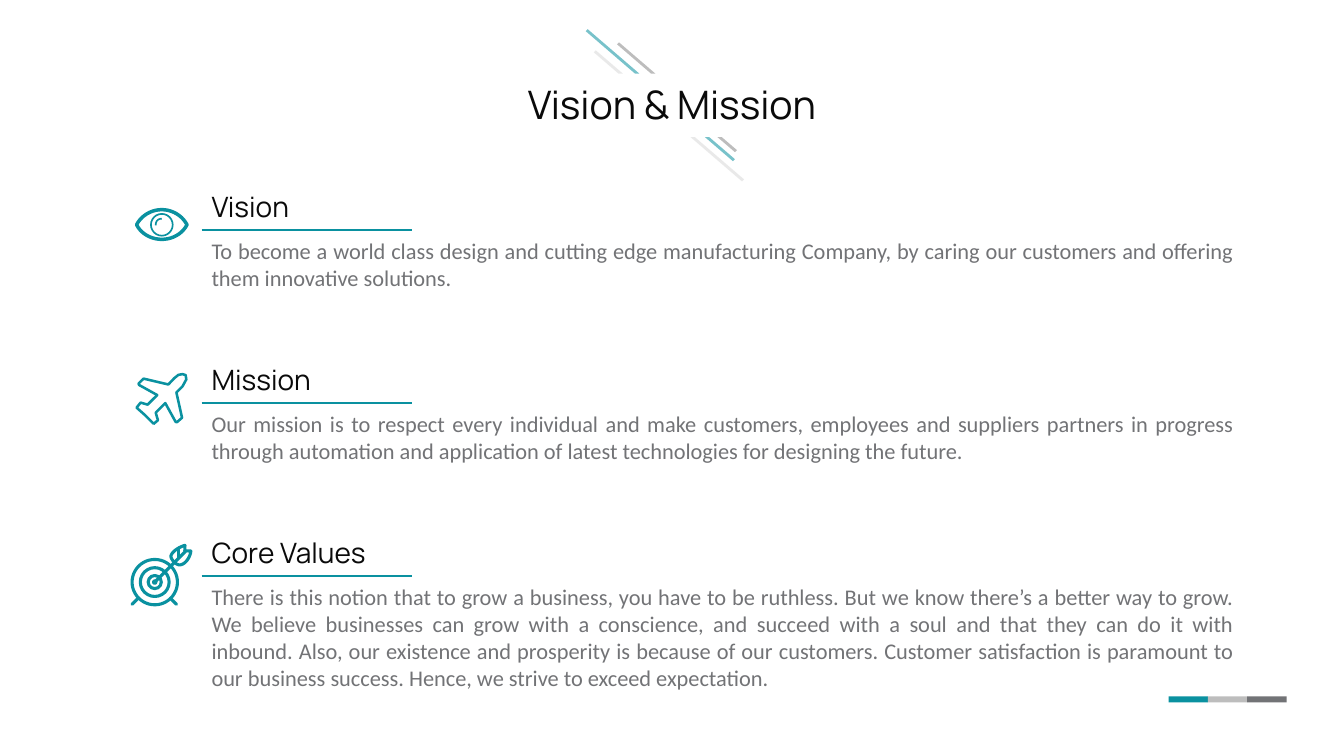
from lxml import etree
from pptx import Presentation, util as u
from pptx.dml.color import RGBColor
from pptx.enum import shapes, text
from pptx.oxml.ns import qn

TEAL = RGBColor(0x0A, 0x91, 0xA0)
INK = RGBColor(0x0A, 0x0A, 0x0A)
GREY = RGBColor(0x72, 0x73, 0x76)
SILVER = RGBColor(0xBD, 0xBD, 0xBD)
PALE = RGBColor(0xD8, 0xD8, 0xD8)
DARK = RGBColor(0x87, 0x87, 0x87)

TITLE = "Vision & Mission"
ROWS = [
    ("Vision", 2, "To become a world class design and cutting edge manufacturing Company, by caring our customers and offering them innovative solutions."),
    ("Mission", 2, "Our mission is to respect every individual and make customers, employees and suppliers partners in progress through automation and application of latest technologies for designing the future."),
    ("Core Values", 4, "There is this notion that to grow a business, you have to be ruthless. But we know there’s a better way to grow. We believe businesses can grow with a conscience, and succeed with a soul and that they can do it with inbound. Also, our existence and prosperity is because of our customers. Customer satisfaction is paramount to our business success. Hence, we strive to exceed expectation."),
]
LEFT, TOP, PITCH = 2, 1.83, 1.715
RULE, BODY = 0.45, 0.475
HEAD_W, BODY_W = 2.09, 10.34

EDGES = [
    (0.73, [(5.89, 0.52, PALE), (5.81, 0.31, TEAL), (6.12, 0.44, DARK)]),
    (1.36, [(7.36, 1.8, PALE), (7.27, 1.6, TEAL), (7.29, 1.51, DARK)]),
]
SLOPE = 0.86

EYE, PLANE, GOAL = (1.34, 2.06), (1.34, 3.7), (1.29, 5.39)
LID = [(1.5, 17), (6, 8), (16, 2), (26.5, 2), (37, 2), (47, 8), (51.5, 17),
       (47, 26), (37, 31.5), (26.5, 31.5), (16, 31.5), (6, 26), (1.5, 17)]
GLINT = [(20.5, 17.5), (20.5, 13), (23, 11), (26.5, 11)]
JET = [(18.5, 50.5), (10, 42), (1.5, 34.5), (5.5, 29.5), (12.5, 31.5), (22, 22),
       (4, 12), (3.5, 10.5), (8.5, 5.7), (33, 11.5), (39, 5.2), (43, 2),
       (47, 1.2), (50.2, 2.2), (50.8, 6.5), (47, 13.5), (41, 19.5),
       (46.6, 44.5), (41.5, 49), (40.2, 48.5), (30, 30), (20.5, 39.5), (22.7, 47)]
TAIL = [(54.5, 2), (48, 4), (42, 8), (40.5, 12.5), (40.5, 15.5), (44.5, 21),
        (49, 21.5), (55, 21.5), (60, 13), (60.3, 7.7)]
STEMS = [[(24.5, 38.5), (55, 8)], [(48.5, 4.5), (48.5, 14.5)],
         [(8, 54.5), (2, 60.5)], [(40, 54.5), (46, 60.5)]]
RINGS = [(22.5, 2.2), (14.3, 2.2), (6.5, 2.2), (1.5, 1.7)]

deck = Presentation()
deck.slide_width, deck.slide_height = u.Inches(13.33), u.Inches(7.5)
slide = deck.slides.add_slide(deck.slide_layouts[5])
parts = slide.shapes


def paint(shape, fill=None, line=None, width=1):
    shape.shadow.inherit = False
    if fill is None:
        shape.fill.background()
    else:
        shape.fill.solid()
        shape.fill.fore_color.rgb = fill
    if line is None:
        shape.line.fill.background()
    else:
        shape.line.color.rgb = line
        shape.line.width = u.Pt(width)


def trace(points, close=True):
    dots = [(u.Inches(x), u.Inches(y)) for x, y in points]
    path = parts.build_freeform(*dots[0])
    path.add_line_segments(dots[1:], close=close)
    return path.convert_to_shape()


def place(corner, points):
    return [(corner[0] + x / 100, corner[1] + y / 100) for x, y in points]


def bend(points, steps=10):
    out = [points[0]]
    for i in range(0, len(points) - 1, 3):
        a, b, c, d = points[i:i + 4]
        for n in range(1, steps + 1):
            t = n / steps
            s = 1 - t
            out.append(tuple(s**3 * p + 3 * s * s * t * q + 3 * s * t * t * r + t**3 * v
                             for p, q, r, v in zip(a, b, c, d)))
    return out


def ring(corner, mid, size, width):
    x, y = place(corner, [mid])[0]
    r = size / 100
    oval = parts.add_shape(shapes.MSO_SHAPE.OVAL, *map(u.Inches, (x - r, y - r, 2 * r, 2 * r)))
    paint(oval, line=TEAL, width=width)


def stroke(start, end, width):
    line = parts.add_connector(shapes.MSO_CONNECTOR.STRAIGHT, *map(u.Inches, (*start, *end)))
    line.line.color.rgb = TEAL
    line.line.width = u.Pt(width)
    etree.SubElement(line._element.spPr, qn("a:effectLst"))
    return line


def write(box, words, font, size, color, align):
    frame = box.text_frame
    frame.text = words
    frame.word_wrap = True
    frame.vertical_anchor = text.MSO_ANCHOR.TOP
    frame.auto_size = text.MSO_AUTO_SIZE.SHAPE_TO_FIT_TEXT
    para = frame.paragraphs[0]
    para.alignment = align
    para.font.name, para.font.size = font, u.Pt(size)
    para.font.color.rgb = color


def label(x, y, w, h, *style):
    write(parts.add_textbox(*map(u.Inches, (x, y, w, h))), *style)


for i, color in enumerate((TEAL, SILVER, GREY)):
    bar = parts.add_shape(shapes.MSO_SHAPE.RECTANGLE,
                          *map(u.Inches, (11.59 + 0.39 * i, 6.91, 0.39, 0.06)))
    paint(bar, color)

title = parts.title
title.left, title.top, title.width, title.height = map(u.Inches, (5.11, 0.75, 3.11, 0.57))
write(title, TITLE, "Manrope", 28, INK, text.PP_ALIGN.CENTER)
title.text_frame.word_wrap = False

for edge, bands in EDGES:
    for x, y, color in bands:
        tips = [(x, y), (x + 0.02, y - 0.02)]
        ends = [(a + (edge - b) / SLOPE, edge) for a, b in reversed(tips)]
        band = trace(tips + ends)
        paint(band, color)
        tint = band.fill._xPr.find(qn("a:solidFill"))[0]
        etree.SubElement(tint, qn("a:alpha")).set("val", "55000")

for i, (head, lines, body) in enumerate(ROWS):
    y = TOP + PITCH * i
    label(LEFT, y, HEAD_W, 0.44, head, "Manrope", 20, INK, text.PP_ALIGN.LEFT)
    label(LEFT, y + BODY, BODY_W, 0.1 + 0.27 * lines, body, "Calibri", 16, GREY,
          text.PP_ALIGN.JUSTIFY)
    stroke((LEFT, y + RULE), (LEFT + HEAD_W, y + RULE), 1.5)

paint(trace(place(EYE, bend(LID))), line=TEAL, width=2.5)
paint(trace(place(EYE, bend(GLINT)), close=False), line=TEAL, width=1.2)
ring(EYE, (26.5, 17), 10.8, 1.2)

paint(trace(place(PLANE, JET)), line=TEAL, width=1.8)

for size, width in RINGS:
    ring(GOAL, (24.5, 38.5), size, width)
for stem in STEMS:
    line = stroke(*place(GOAL, stem), 2.2)
    line.line._get_or_add_ln().set("cap", "rnd")
paint(trace(place(GOAL, bend(TAIL) + [(54.3, 7.5)])), line=TEAL, width=2.2)

deck.save("out.pptx")
